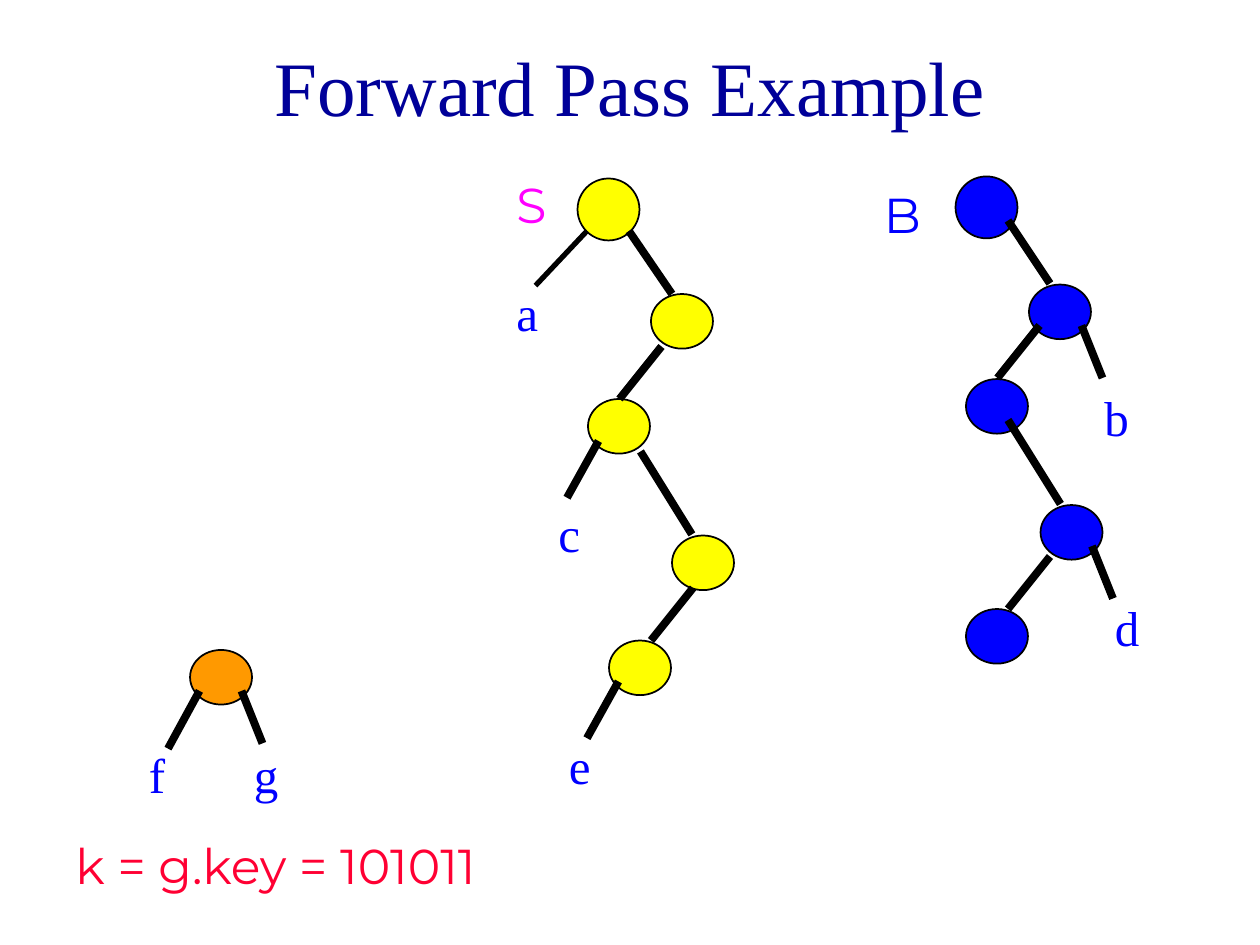
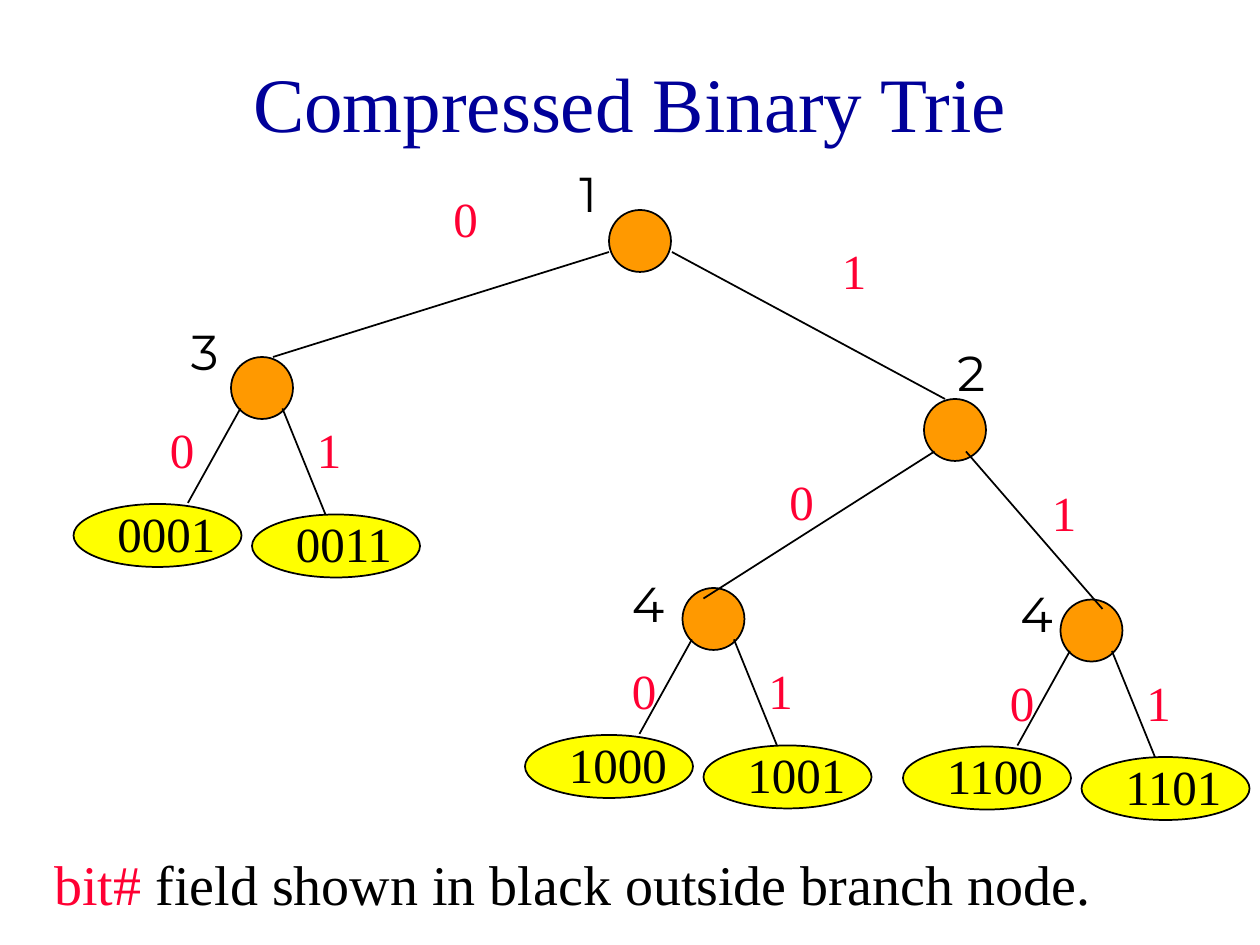
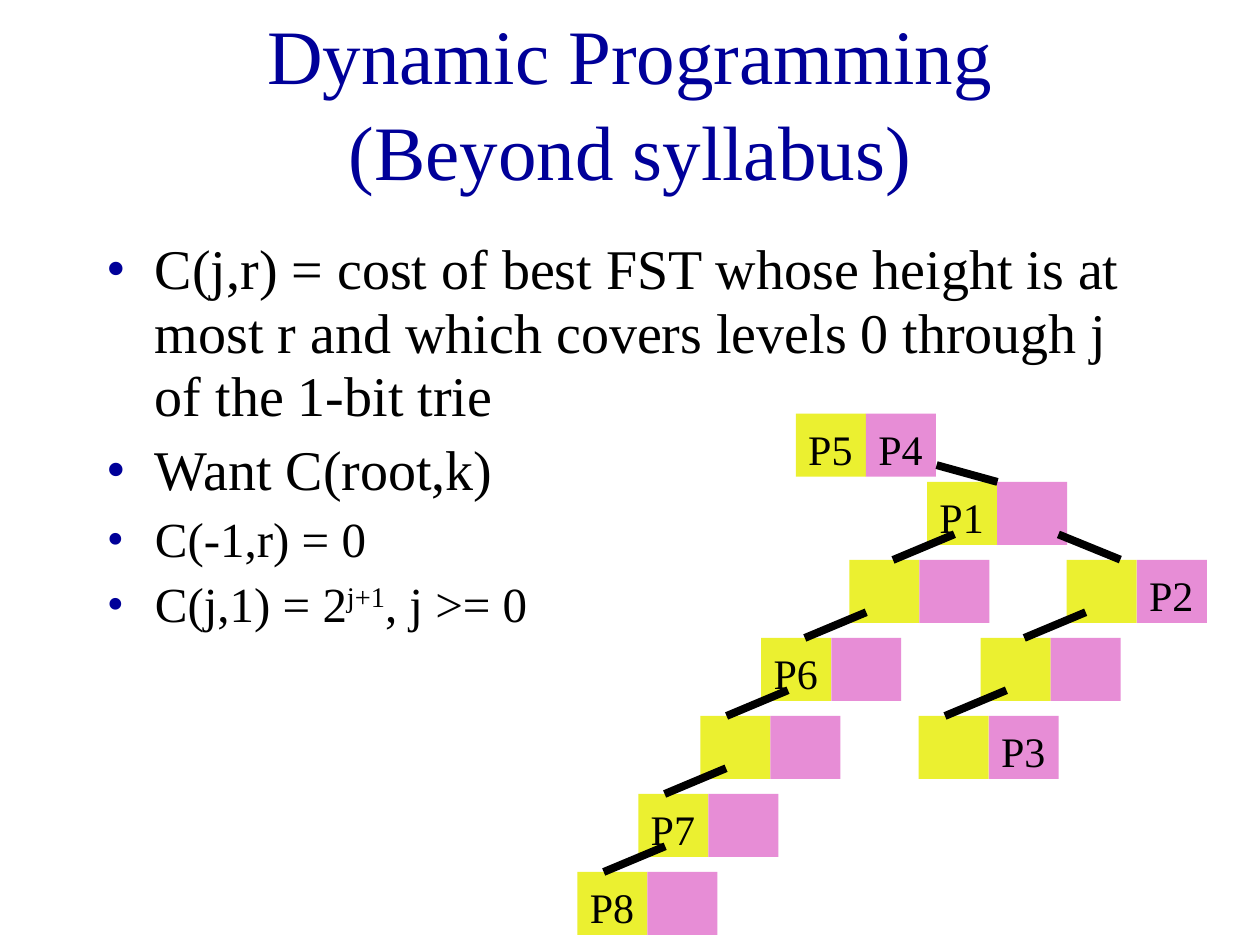
from dataclasses import dataclass
from typing import Any, NamedTuple

from lxml.etree import SubElement
from pptx import Presentation
from pptx.dml.color import RGBColor
from pptx.enum.shapes import MSO_CONNECTOR, MSO_SHAPE
from pptx.enum.text import MSO_ANCHOR, PP_ALIGN
from pptx.oxml.ns import qn
from pptx.util import Cm, Pt

# Shared look: everything sits on a grid of twelve steps to the inch
STEP = Cm(2.54) / 12
SERIF, SANS = "Times New Roman", "Montserrat"
NAVY, BLUE, RED, MAGENTA = "000099", "0000FF", "FF0033", "FF00FF"
ORANGE, YELLOW, BLACK, WHITE = "FF9900", "FFFF00", "000000", "FFFFFF"
LIME, PINK = "EBF030", "E78DD6"
NODE_WIDTH, OVAL_HEIGHT = 5.9, 5.2
LEAF_WIDTH, LEAF_HEIGHT = 16, 6
LABEL_HEIGHT = 6.8
THICK, THIN = 4.5, 1
MARGINS = {
    SERIF: {"margin_top": Cm(0.2)},
    SANS: {"margin_top": Cm(0.13)},
}


class Area(NamedTuple):
    left: float
    top: float
    width: float
    height: float


class Edge(NamedTuple):
    x1: float
    y1: float
    x2: float
    y2: float
    weight: float = THICK


class Node(NamedTuple):
    left: float
    top: float
    fill: str
    height: float = OVAL_HEIGHT


class Span(NamedTuple):
    text: str
    color: str = BLACK
    size: float = 28
    font: str = SERIF
    raised: bool = False


@dataclass
class Label:
    left: float
    top: float
    text: str
    color: str = BLUE
    font: str = SERIF
    width: float = 6


@dataclass
class CellPair:
    left: float
    row: int
    texts: tuple[str, str] = ("", "")
    lean: float = 0  # where the edge from the upper right lands, 0 for none


def color(code: str) -> RGBColor:
    return RGBColor.from_string(code)


def grid(count: float) -> int:
    return round(count * STEP)


def apply_format(target: Any, values: dict[str, Any]) -> None:
    for name, value in values.items():
        setattr(target, name, value)


def add_spans(para: Any, spans: list[Span]) -> None:
    for span in spans:
        run = para.add_run()
        run.text = span.text
        apply_format(run.font, {"name": span.font, "size": Pt(span.size)})
        run.font.color.rgb = color(span.color)
        if span.raised:
            run.font._element.set("baseline", "30000")


def add_box(page: Any, area: Area) -> Any:
    box = page.shapes.add_textbox(*map(grid, area))
    box.text_frame.word_wrap = True
    return box


def add_shape(page: Any, kind: Any, area: Area, fill: str, outlined: bool = True) -> Any:
    shape = page.shapes.add_shape(kind, *map(grid, area))
    shape.shadow.inherit = False
    shape.fill.solid()
    shape.fill.fore_color.rgb = color(fill)
    if outlined:
        shape.line.color.rgb = color(BLACK)
        shape.line.width = Pt(THIN)
    else:
        shape.line.fill.background()
    return shape


def add_edge(page: Any, edge: Edge) -> None:
    line = page.shapes.add_connector(MSO_CONNECTOR.STRAIGHT, *map(grid, edge[:4]))
    line.line.color.rgb = color(BLACK)
    line.line.width = Pt(edge.weight)
    SubElement(line._element.spPr, qn("a:effectLst"))


def add_node(page: Any, node: Node) -> None:
    area = Area(node.left, node.top, NODE_WIDTH, node.height)
    add_shape(page, MSO_SHAPE.OVAL, area, node.fill)


def add_label(page: Any, label: Label) -> None:
    box = add_box(page, Area(label.left, label.top, label.width, LABEL_HEIGHT))
    apply_format(box.text_frame, MARGINS[label.font])
    add_spans(box.text_frame.paragraphs[0], [Span(label.text, label.color, font=label.font)])


def add_panel(page: Any, area: Area, fill: str, spans: list[Span]) -> None:
    """A borderless rectangle with text at its top left."""
    panel = add_shape(page, MSO_SHAPE.RECTANGLE, area, fill, outlined=False)
    if not spans:
        return
    frame = panel.text_frame
    values = {"word_wrap": True, "vertical_anchor": MSO_ANCHOR.TOP, "margin_right": 0}
    apply_format(frame, values | MARGINS[spans[0].font])
    frame.paragraphs[0].alignment = PP_ALIGN.LEFT
    add_spans(frame.paragraphs[0], spans)


def add_page(deck: Any, lines: list[str], title_height: float = 15) -> Any:
    page = deck.slides.add_slide(deck.slide_layouts[6])
    box = add_box(page, Area(9, 2, 102, title_height))
    box.text_frame.vertical_anchor = MSO_ANCHOR.MIDDLE
    para = box.text_frame.paragraphs[0]
    apply_format(para, {"alignment": PP_ALIGN.CENTER, "line_spacing": 1.04})
    for index, line in enumerate(lines):
        if index:
            para.add_line_break()
        add_spans(para, [Span(line, NAVY, 44)])
    return page


def add_bullets(page: Any, area: Area, items: list[list[Span]]) -> None:
    frame = add_box(page, area).text_frame
    frame.margin_top = Cm(0.17)
    for index, spans in enumerate(items):
        para = frame.add_paragraph() if index else frame.paragraphs[0]
        before = Pt(spans[0].size * 0.2) if index else Pt(0)
        apply_format(para, {"line_spacing": 0.94, "space_before": before})
        properties = para._p.get_or_add_pPr()
        properties.set("marL", str(Cm(0.97)))
        properties.set("indent", str(-Cm(0.97)))
        bullet_color = SubElement(properties, qn("a:buClr"))
        SubElement(bullet_color, qn("a:srgbClr"), val=NAVY)
        SubElement(properties, qn("a:buFont"), typeface=SERIF)
        SubElement(properties, qn("a:buChar"), char="•")
        add_spans(para, spans)


def build_forward_pass(deck: Any) -> None:
    page = add_page(deck, ["Forward Pass Example"], 12)
    nodes = [
        Node(18.1, 61.9, ORANGE),
        # S tree
        Node(55, 17, YELLOW, NODE_WIDTH),
        Node(62, 28, YELLOW),
        Node(56, 38, YELLOW),
        Node(64, 51, YELLOW),
        Node(58, 61, YELLOW),
        # B tree
        Node(91, 16.8, BLUE, NODE_WIDTH),
        Node(98, 27.1, BLUE),
        Node(92, 36.1, BLUE),
        Node(99.1, 48.1, BLUE),
        Node(92, 58, BLUE),
    ]
    edges = [
        Edge(19, 65.8, 16, 71.3),
        Edge(23, 65.8, 25, 70.8),
        # S tree
        Edge(55.9, 22, 51, 27.2, 3),
        Edge(59.9, 22, 64, 28),
        Edge(63, 33, 59, 38),
        Edge(57, 42, 54, 47.4),
        Edge(61, 43, 65.9, 50.9),
        Edge(66, 56, 62, 61),
        Edge(58.9, 64.9, 55.9, 70.3),
        # B tree
        Edge(96, 21, 100, 27),
        Edge(99, 31, 95, 36),
        Edge(103, 31, 105, 36),
        Edge(96, 40, 101, 48),
        Edge(104, 52, 106, 57),
        Edge(100, 53, 96, 58),
    ]
    labels = [
        Label(48, 16, "S", MAGENTA, SANS, 7),
        Label(83, 17, "B", BLUE, SANS, 7),
        Label(48, 26, "a"),
        Label(104, 36, "b"),
        Label(52, 47, "c"),
        Label(105, 56, "d"),
        Label(53, 69.1, "e"),
        Label(13, 70, "f"),
        Label(23, 70, "g"),
    ]
    for node in nodes:
        add_node(page, node)
    for edge in edges:
        add_edge(page, edge)
    for label in labels:
        add_label(page, label)
    key = Span("k = g.key = 101011", RED, font=SANS)
    add_panel(page, Area(6, 79, 65, LABEL_HEIGHT), WHITE, [key])


def add_leaf(page: Any, left: float, top: float, text: str) -> None:
    add_shape(page, MSO_SHAPE.OVAL, Area(left, top, LEAF_WIDTH, LEAF_HEIGHT), YELLOW)
    add_label(page, Label(left + 3, top - 1, text, BLACK, width=14))


def build_compressed_trie(deck: Any) -> None:
    page = add_page(deck, ["Compressed Binary Trie"])
    # Branch nodes, then the edges between them
    for left, top in [(58, 20), (22, 34), (88, 38), (65, 56), (101, 57.1)]:
        add_node(page, Node(left, top, ORANGE, NODE_WIDTH))
    for ends in [(58, 24, 26, 34), (64, 24, 90, 38), (89, 43, 67, 57), (92, 43, 105, 58)]:
        add_edge(page, Edge(*ends, THIN))

    # Lowest branch nodes carry two leaves each
    parents = [(22, 34, "0001", "0011"), (65, 56, "1000", "1001"), (101, 57.1, "1100", "1101")]
    for left, top, zero, one in parents:
        add_edge(page, Edge(left + 0.9, top + 4.9, left - 4.1, top + 13.9, THIN))
        add_edge(page, Edge(left + 4.9, top + 4.9, left + 9, top + 15, THIN))
        add_leaf(page, left - 15, top + 14, zero)
        add_leaf(page, left + 2, top + 15, one)

    # Bits on the edges
    bits = {
        "0": [(42, 17), (15, 39), (74, 44), (59, 62), (95, 63.1)],
        "1": [(79, 22), (29, 39), (99, 45), (72, 62), (108, 63.1)],
    }
    for bit, places in bits.items():
        for left, top in places:
            add_label(page, Label(left, top, bit, RED))

    # Bit numbers beside the branch nodes
    numbers = [(54, 15, "1"), (90, 32, "2"), (17, 30, "3"), (59, 54, "4"), (96, 55, "4")]
    for left, top, number in numbers:
        add_label(page, Label(left, top, number, BLACK, SANS, 8))

    note = [Span("bit# ", RED, 32), Span("field shown in black outside branch node.", size=32)]
    add_panel(page, Area(4, 80, 102, 7.5), WHITE, note)


def build_dynamic_programming(deck: Any) -> None:
    page = add_page(deck, ["Dynamic Programming", "(Beyond syllabus)"])
    cost = (
        "C(j,r) = cost of best FST whose height is at most r "
        "and which covers levels 0 through j of the 1-bit trie"
    )
    add_bullets(page, Area(9, 22, 102, 39), [
        [Span(cost, size=32)],
        [Span("Want C(root,k)", size=32)],
        [Span("C(-1,r) = 0")],
        [Span("C(j,1) = 2"), Span("j+1", raised=True), Span(", j >= 0")],
    ])

    # Trie of two-cell nodes
    cell_width, cell_height = 6.67, 6
    row_tops = [39.4] + [45.9 + 7.43 * level for level in range(6)]
    pairs = [
        CellPair(75.8, 0, ("P5", "P4")),
        CellPair(88.3, 1, ("P1", "")),
        CellPair(101.6, 2, ("", "P2")),
        CellPair(80.9, 2, lean=4.15),
        CellPair(93.4, 3, lean=4.15),
        CellPair(72.5, 3, ("P6", ""), 4.15),
        CellPair(87.5, 4, ("", "P3"), 2.5),
        CellPair(66.7, 4, lean=2.5),
        CellPair(60.8, 5, ("P7", ""), 2.5),
        CellPair(55, 6, ("P8", ""), 2.5),
    ]
    edges = [Edge(89.2, 44.3, 95, 45.9), Edge(100.8, 50.9, 106.7, 53.3)]
    for pair in pairs:
        top = row_tops[pair.row]
        for column, (text, fill) in enumerate(zip(pair.texts, (LIME, PINK))):
            area = Area(pair.left + column * cell_width, top, cell_width, cell_height)
            add_panel(page, area, fill, [Span(text, size=24)] if text else [])
        if pair.lean:
            end = pair.left + pair.lean
            edges.append(Edge(end + 5.85, top - 2.45, end, top))
    for edge in edges:
        add_edge(page, edge)


def main() -> None:
    deck = Presentation()
    apply_format(deck, {"slide_width": Cm(25.4), "slide_height": Cm(19.05)})
    build_forward_pass(deck)
    build_compressed_trie(deck)
    build_dynamic_programming(deck)
    deck.save("out.pptx")


if __name__ == "__main__":
    main()
